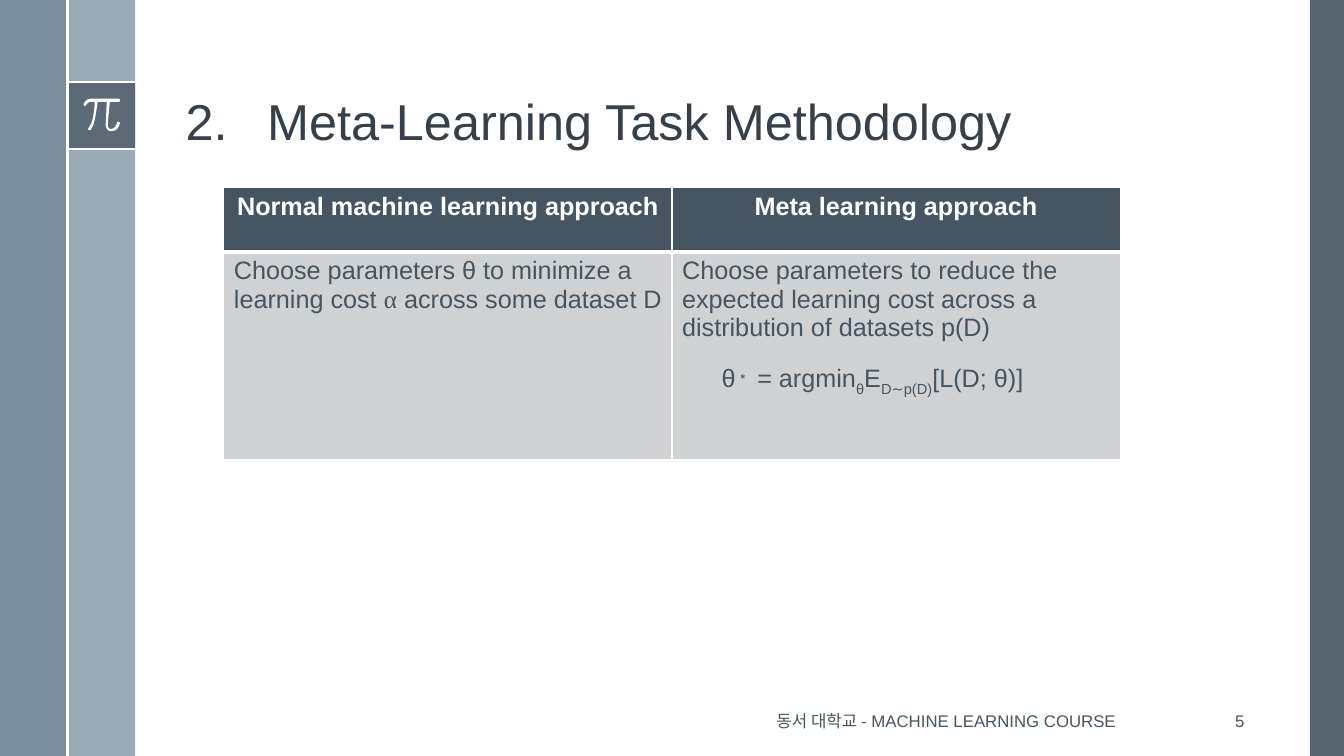
import dataclasses

import pptx
import pptx.dml.color
import pptx.enum.shapes
import pptx.enum.text
import pptx.oxml
import pptx.oxml.ns
import pptx.util
from lxml import etree

Inches = pptx.util.Inches
Pt = pptx.util.Pt
Align = pptx.enum.text.PP_ALIGN
Anchor = pptx.enum.text.MSO_ANCHOR
Kind = pptx.enum.shapes.MSO_SHAPE
qn = pptx.oxml.ns.qn


@dataclasses.dataclass(frozen=True)
class Theme:
    white: str = "FFFFFF"
    ink: str = "465562"
    head: str = "35404A"
    cell: str = "CFD1D3"
    dark: str = "475562"
    mid: str = "6A8093"
    pale: str = "9BAAB7"
    font: str = "Arial"
    greek: str = "Times New Roman"
    title: int = 36
    body: int = 18
    foot: int = 12


THEME = Theme()

PI = [
    (51, 17), (23, 17), (18, 17, 16, 22, 16, 23), (16, 23, 16, 24, 17, 24),
    (18, 24, 18, 24, 18, 24), (18, 24, 20, 20, 23, 20), (27, 20),
    (27, 24, 26, 41, 21, 46), (20, 47, 20, 47, 21, 48), (22, 48), (23, 48),
    (28, 42, 29, 24, 30, 20), (39, 20), (38, 41), (38, 41, 37, 45, 40, 48),
    (41, 49, 42, 49, 43, 49), (44, 49, 44, 49, 45, 49),
    (50, 49, 52, 42, 52, 41), (52, 41, 51, 40, 51, 40),
    (50, 40, 49, 40, 49, 41), (49, 41, 48, 46, 44, 47),
    (43, 47, 42, 47, 41, 46), (40, 45, 40, 42, 40, 41), (42, 20), (51, 20),
    (52, 20, 52, 19, 52, 19), (52, 18, 52, 17, 51, 17),
]


def shade(name):
    return pptx.dml.color.RGBColor.from_string(name)


def apply(obj, vals):
    for key, val in vals.items():
        setattr(obj, key, val)


def child(node, tag, **vals):
    return etree.SubElement(node, qn(tag), vals)


def write(para, text, size, color, bold=False, font=THEME.font, base=0):
    run = para.add_run()
    apply(run, {"text": text})
    apply(run.font, {"size": Pt(size), "bold": bold, "name": font})
    run.font.color.rgb = shade(color)
    if base:
        run.font._element.set("baseline", str(base * 1000))


def paint(shape, color, alpha=100):
    shape.shadow.inherit = False
    shape.fill.solid()
    shape.fill.fore_color.rgb = shade(color)
    shape.line.fill.background()
    if alpha < 100:
        tone = shape._element.spPr.find(".//" + qn("a:srgbClr"))
        child(tone, "a:alpha", val=str(alpha * 1000))


def panel(slide, box, color, alpha=100):
    spot = [Inches(n) for n in box]
    paint(slide.shapes.add_shape(Kind.RECTANGLE, *spot), color, alpha)


def rule(slide, *ends):
    line = slide.shapes.add_connector(
        pptx.enum.shapes.MSO_CONNECTOR.STRAIGHT, *[Inches(n) for n in ends])
    line.line.color.rgb = shade(THEME.white)
    line.line.width = Pt(1.5)
    child(line._element.spPr, "a:effectLst")


def trace(path):
    spots = [path[0]]
    for step in path[1:]:
        if len(step) == 2:
            spots.append(step)
            continue
        ax, ay = spots[-1]
        bx, by, cx, cy, dx, dy = step
        for t in (0.2, 0.4, 0.6, 0.8, 1):
            u = 1 - t
            k = (u ** 3, 3 * u * u * t, 3 * u * t * t, t ** 3)
            spots.append((
                k[0] * ax + k[1] * bx + k[2] * cx + k[3] * dx,
                k[0] * ay + k[1] * by + k[2] * cy + k[3] * dy))
    return [(x * 10, y * 10) for x, y in spots]


def badge(slide, box):
    x, y, w, h = box
    panel(slide, box, THEME.dark, 75)
    for edge in (y, y + h):
        rule(slide, x, edge, x + w, edge)
    spots = trace(PI)
    form = slide.shapes.build_freeform(*spots[0], scale=Inches(0.001))
    form.add_line_segments(spots[1:], close=True)
    paint(form.convert_to_shape(Inches(x), Inches(y)), THEME.white)


def frame(slide, box):
    x, y, w, h = box
    bar = 0.67
    panel(slide, (x + w - bar / 2, y, bar / 2, h), THEME.dark, 90)
    panel(slide, (x + bar, y, bar, h), THEME.pale)
    panel(slide, (x, y, bar, h), THEME.mid, 88)
    badge(slide, (x + bar, y + 0.81, bar, bar))
    rule(slide, x + bar, y, x + bar, y + h)


def heading(slide, box, text, start):
    title = slide.shapes.title
    apply(title, dict(zip(("left", "top", "width", "height"),
                          [Inches(n) for n in box])))
    apply(title.text_frame, {
        "vertical_anchor": Anchor.BOTTOM, "word_wrap": True,
        "auto_size": pptx.enum.text.MSO_AUTO_SIZE.NONE})
    para = title.text_frame.paragraphs[0]
    apply(para, {"alignment": Align.LEFT, "line_spacing": 0.9})
    write(para, text, THEME.title, THEME.head)
    props = para._p.get_or_add_pPr()
    dent = Inches(0.81)
    props.set("marL", str(dent))
    props.set("indent", str(-dent))
    child(props, "a:buFont", typeface=THEME.font)
    child(props, "a:buAutoNum", type="arabicPeriod", startAt=str(start))


def label(slide, box, parts, size, align, anchor):
    note = slide.shapes.add_textbox(*[Inches(n) for n in box])
    apply(note.text_frame, {"word_wrap": True, "vertical_anchor": anchor})
    para = note.text_frame.paragraphs[0]
    para.alignment = align
    for text, base in parts:
        write(para, text, size, THEME.ink, base=base)


def border(cell, widths):
    props = cell._tc.get_or_add_tcPr()
    for spot, (side, width) in enumerate(widths.items()):
        edge = etree.Element(qn("a:ln" + side), w=str(Pt(width)))
        child(child(edge, "a:solidFill"), "a:srgbClr", val=THEME.white)
        props.insert(spot, edge)


def compare(slide, box, rows, highs):
    spot = [Inches(n) for n in box]
    grid = slide.shapes.add_table(len(rows), len(rows[0]), *spot).table
    for r, row in enumerate(rows):
        grid.rows[r].height = Inches(highs[r])
        top = r == 0
        for c, parts in enumerate(row):
            cell = grid.cell(r, c)
            cell.fill.solid()
            cell.fill.fore_color.rgb = shade(THEME.ink if top else THEME.cell)
            border(cell, {"L": 1, "R": 1, "T": 1 if r < 1 else 3,
                          "B": 3 if top else 1})
            para = cell.text_frame.paragraphs[0]
            para.alignment = Align.CENTER if top else Align.LEFT
            for text, font in parts:
                write(para, text, THEME.body,
                      THEME.white if top else THEME.ink, top, font)


def main():
    deck = pptx.Presentation()
    apply(deck, {"slide_width": Inches(13.33), "slide_height": Inches(7.5)})
    slide = deck.slides.add_slide(deck.slide_layouts[5])
    frame(slide, (0, 0, 13.33, 7.5))
    heading(slide, (1.74, 0.19, 10.7, 1.36),
            "Meta-Learning Task Methodology", 2)
    label(slide, (7.21, 6.95, 4.35, 0.4),
          [("동서 대학교 - MACHINE LEARNING COURSE", 0)],
          THEME.foot, Align.CENTER, Anchor.MIDDLE)
    label(slide, (11.77, 6.95, 0.67, 0.4), [("5", 0)],
          THEME.foot, Align.RIGHT, Anchor.MIDDLE)
    font = THEME.font
    compare(slide, (2.22, 1.86, 8.89, 2.7), [
        [[("Normal machine learning approach", font)],
         [("Meta learning approach", font)]],
        [[("Choose parameters θ to minimize a learning cost ", font),
          ("α", THEME.greek), (" across some dataset D", font)],
         [("Choose parameters to reduce the expected learning cost "
           "across a distribution of datasets p(D)", font)]],
    ], (0.64, 2.06))
    label(slide, (7.06, 3.55, 3.7, 0.4), [
        ("θ", 0), ("∗", 30), (" = argmin", 0), ("θ", -25), ("E", 0),
        ("D∼p(D)", -25), ("[L(D; θ)]", 0),
    ], THEME.body, Align.LEFT, Anchor.TOP)
    deck.save("out.pptx")


if __name__ == "__main__":
    main()
